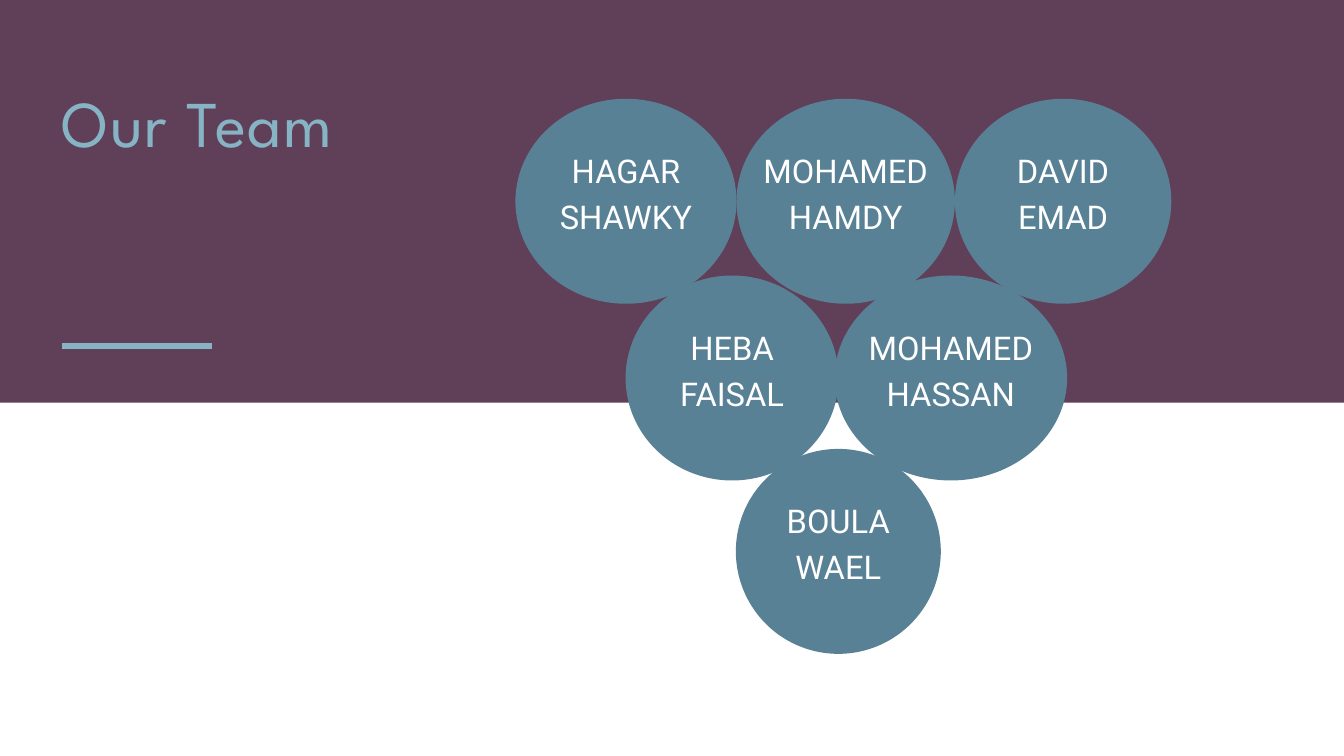
from pptx import Presentation
from pptx.dml.color import RGBColor
from pptx.enum.shapes import MSO_CONNECTOR, MSO_SHAPE
from pptx.enum.text import MSO_ANCHOR, MSO_AUTO_SIZE, PP_ALIGN
from pptx.oxml.ns import qn
from pptx.util import Inches, Pt
from lxml import etree

PLUM, TEAL, SKY, WHITE = "604058", "598196", "86B4C4", "FFFFFF"
CIRCLE_HEIGHT = 3.05
NAME_WIDTH_SHARE = 0.81
NAME_HEIGHT = 2.8

# Each row: top, left edge, then the name and circle width of each member
TEAM_ROWS = [
    (1.47, 7.67, [("HAGAR SHAWKY", 3.29), ("MOHAMED HAMDY", 3.25), ("DAVID EMAD", 3.22)]),
    (4.1, 9.31, [("HEBA FAISAL", 3.17), ("MOHAMED HASSAN", 3.46)]),
    (6.68, 10.95, [("BOULA WAEL", 3.05)]),
]
ROW_OVERLAP = 0.06  # neighbours in the second row overlap slightly


def color(hex_code):
    return RGBColor.from_string(hex_code)


def add_filled_shape(slide, kind, left, top, width, height, fill):
    shape = slide.shapes.add_shape(
        kind, Inches(left), Inches(top), Inches(width), Inches(height))
    shape.shadow.inherit = False
    shape.fill.solid()
    shape.fill.fore_color.rgb = color(fill)
    shape.line.fill.background()


def set_text(frame, text, font, size, hex_code, spacing, align, anchor, inset):
    frame.text = text
    frame.word_wrap = True
    frame.auto_size = MSO_AUTO_SIZE.NONE
    frame.vertical_anchor = anchor
    frame.margin_left = frame.margin_right = Inches(inset)
    frame.margin_top = frame.margin_bottom = Inches(inset)
    paragraph = frame.paragraphs[0]
    paragraph.alignment = align
    paragraph.line_spacing = Pt(spacing)
    paragraph.space_before = Pt(0)
    run = paragraph.runs[0]
    run.font.name = font
    run.font.size = Pt(size)
    run.font.color.rgb = color(hex_code)
    return run


def add_title(slide, text):
    title = slide.shapes.title
    title.left, title.top = Inches(0.92), Inches(1.12)
    title.width, title.height = Inches(10.33), Inches(1.24)
    run = set_text(title.text_frame, text, "League Spartan", 70, SKY, 91,
                   PP_ALIGN.LEFT, MSO_ANCHOR.TOP, 0)
    run.font._element.set("spc", "170")
    # Bring the title in front of the band
    title.element.getparent().append(title.element)


def add_accent_line(slide):
    accent = slide.shapes.add_connector(
        MSO_CONNECTOR.STRAIGHT, Inches(0.92), Inches(5.15), Inches(3.16), Inches(5.15))
    accent.line.color.rgb = color(SKY)
    accent.line.width = Pt(6.75)
    etree.SubElement(accent.element.spPr, qn("a:effectLst"))


def add_member(slide, name, left, top, width):
    add_filled_shape(slide, MSO_SHAPE.OVAL, left, top, width, CIRCLE_HEIGHT, TEAL)
    name_width = width * NAME_WIDTH_SHARE
    label = slide.shapes.add_textbox(
        Inches(left + (width - name_width) / 2), Inches(top - 0.04),
        Inches(name_width), Inches(NAME_HEIGHT))
    set_text(label.text_frame, name, "Roboto", 35, WHITE, 49,
             PP_ALIGN.CENTER, MSO_ANCHOR.MIDDLE, 0.06)


def add_team(slide):
    for row, (top, left, members) in enumerate(TEAM_ROWS):
        for name, width in members:
            add_member(slide, name, left, top, width)
            left += width - (ROW_OVERLAP if row == 1 else 0)


def main():
    presentation = Presentation()
    presentation.slide_width = Inches(20)
    presentation.slide_height = Inches(11.25)
    slide = presentation.slides.add_slide(presentation.slide_layouts[5])
    slide.background.fill.solid()
    slide.background.fill.fore_color.rgb = color(WHITE)
    add_filled_shape(slide, MSO_SHAPE.RECTANGLE, 0, 0, 20, 5.99, PLUM)
    add_title(slide, "Our Team")
    add_accent_line(slide)
    add_team(slide)
    presentation.save("out.pptx")


if __name__ == "__main__":
    main()
